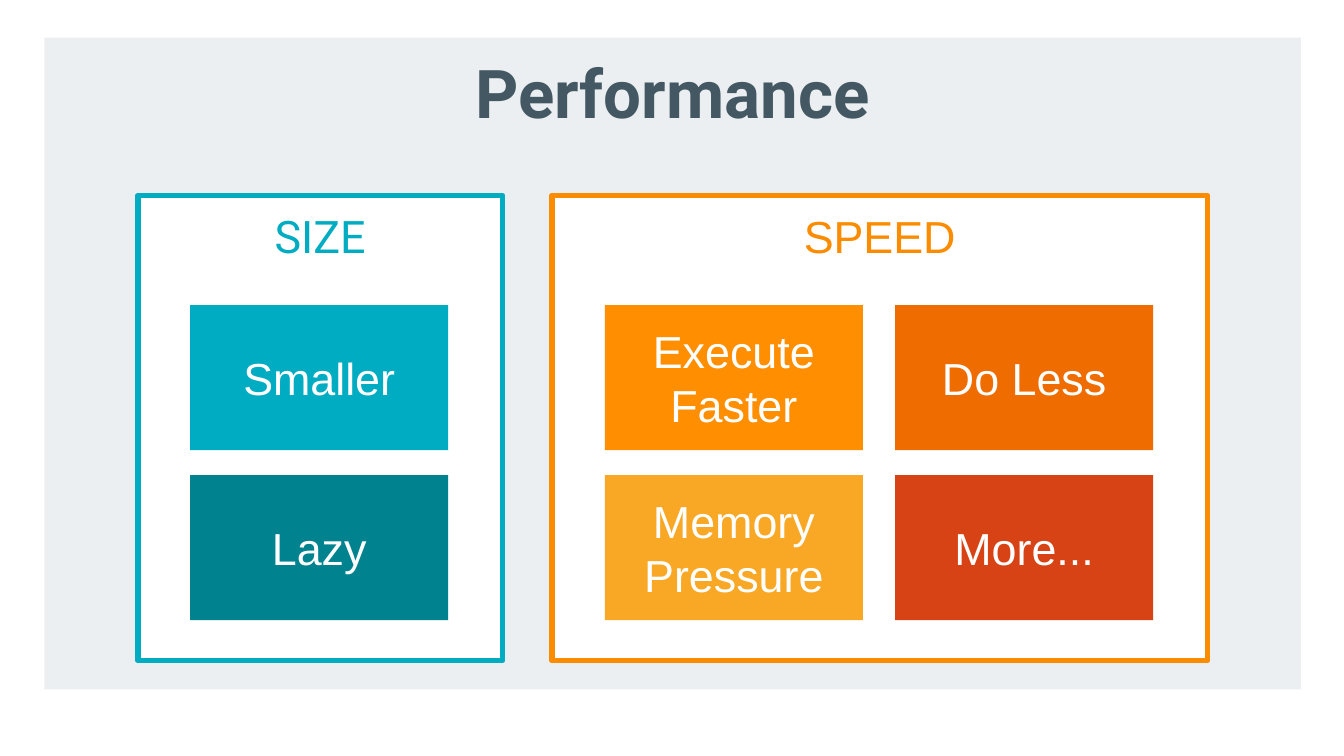
from pptx import Presentation
from pptx.dml.color import RGBColor
from pptx.enum.shapes import MSO_SHAPE as Shape
from pptx.enum.text import MSO_ANCHOR as Anchor, MSO_AUTO_SIZE as AutoSize, PP_ALIGN as Align
from pptx.util import Emu, Pt

PX = 4572  # EMU per px, 200 px to the inch


def color(hex_string):
    return RGBColor.from_string(hex_string)


def fill_box(box, text, at, fill, ink="FFFFFF", size=24, font="Arial",
             bold=False, anchor=Anchor.MIDDLE, border=None):
    box.left, box.top, box.width, box.height = [Emu(value * PX) for value in at]
    box.fill.solid()
    box.fill.fore_color.rgb = color(fill)
    if border:
        box.line.color.rgb = color(border)
        box.line.width = Pt(3)
    else:
        box.line.fill.background()
    frame = box.text_frame
    frame.word_wrap = True
    frame.auto_size = AutoSize.NONE
    frame.vertical_anchor = anchor
    frame.margin_left = frame.margin_right = Emu(20 * PX)
    frame.margin_top = frame.margin_bottom = Emu(20 * PX)
    para = frame.paragraphs[0]
    para.alignment = Align.CENTER
    span = para.add_run()
    span.text = text
    span.font.size = Pt(size)
    span.font.name = font
    span.font.bold = bold
    span.font.color.rgb = color(ink)


deck = Presentation()
deck.slide_width, deck.slide_height = Emu(2000 * PX), Emu(1125 * PX)
page = deck.slides.add_slide(deck.slide_layouts[5])

# Title on the grey backdrop
fill_box(page.shapes.title, "Performance", (66, 56, 1870, 970), "ECEFF1",
         ink="445863", size=36, font="Roboto", bold=True, anchor=Anchor.TOP)

# Panels: heading, font, colour, left, width, first tile left, rows of tiles
panels = [
    ("SIZE", "Roboto", "00ACC1", 205, 543, 283,
     [[("Smaller", "00ACC1")],
      [("Lazy", "00838F")]]),
    ("SPEED", "Arial", "FB8C00", 821, 976, 900,
     [[("Execute Faster", "FF8F00"), ("Do Less", "EF6C00")],
      [("Memory Pressure", "F9A825"), ("More...", "D84315")]]),
]
TILE_WIDTH, TILE_HEIGHT = 384, 216
COLUMN_STEP, ROW_STEP, FIRST_ROW = 432, 253, 454

for heading, font, accent, left, width, tile_left, rows in panels:
    group = page.shapes.add_group_shape()
    panel = group.shapes.add_shape(Shape.RECTANGLE, 0, 0, PX, PX)
    panel.shadow.inherit = False
    fill_box(panel, heading, (left, 291, width, 692), "FFFFFF", ink=accent,
             font=font, anchor=Anchor.TOP, border=accent)

    # Tiles on a regular grid
    for row, tiles in enumerate(rows):
        for column, (label, fill) in enumerate(tiles):
            at = (tile_left + column * COLUMN_STEP, FIRST_ROW + row * ROW_STEP,
                  TILE_WIDTH, TILE_HEIGHT)
            tile = group.shapes.add_shape(
                Shape.RECTANGLE, *[Emu(value * PX) for value in at])
            tile.shadow.inherit = False
            fill_box(tile, label, at, fill)

    # Fit the group frame to its panel
    group.left, group.top = panel.left, panel.top
    group.width, group.height = panel.width, panel.height
    frame = group._element.grpSpPr.get_or_add_xfrm()
    frame.chOff.x, frame.chOff.y = panel.left, panel.top
    frame.chExt.cx, frame.chExt.cy = panel.width, panel.height

deck.save("out.pptx")
